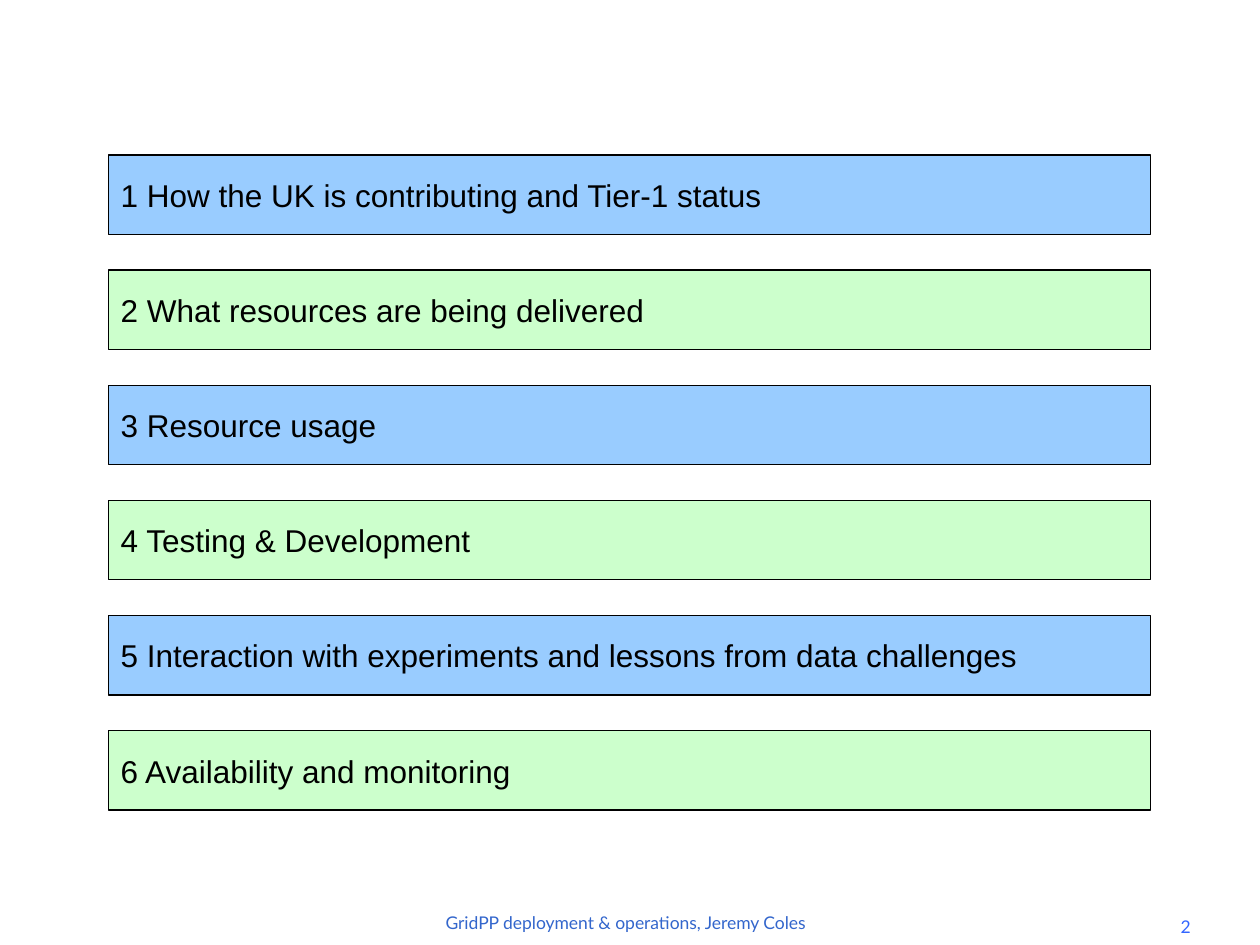
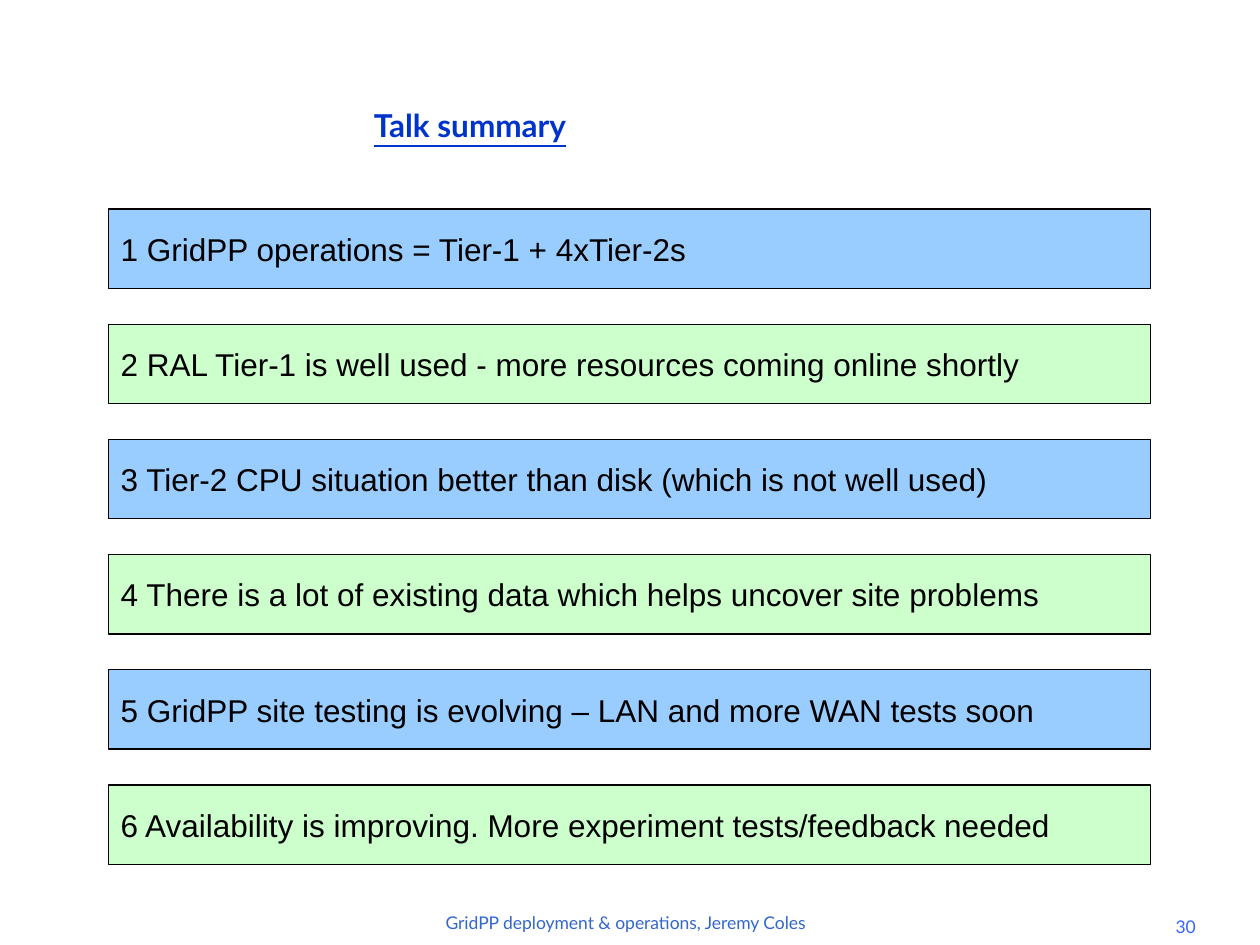
from pptx import Presentation
from pptx.dml.color import RGBColor
from pptx.enum import shapes, text
from pptx.util import Inches, Pt

WHITE = RGBColor(0xFF, 0xFF, 0xFF)
BLACK = RGBColor(0x00, 0x00, 0x00)
BAR_BLUE = RGBColor(0x99, 0xCC, 0xFF)
BAR_GREEN = RGBColor(0xCC, 0xFF, 0xCC)
TITLE_BLUE = RGBColor(0x00, 0x33, 0xCC)
FOOTER_BLUE = RGBColor(0x33, 0x66, 0xCC)
NUMBER_BLUE = RGBColor(0x33, 0x66, 0xFF)

FOOTER = "GridPP deployment & operations, Jeremy Coles"
OUTLINE = [
    "How the UK is contributing and Tier-1 status",
    "What resources are being delivered",
    "Resource usage",
    "Testing & Development",
    "Interaction with experiments and lessons from data challenges",
    "Availability and monitoring",
]
SUMMARY = [
    "GridPP operations = Tier-1 + 4xTier-2s",
    "RAL Tier-1 is well used - more resources coming online shortly",
    "Tier-2 CPU situation better than disk (which is not well used)",
    "There is a lot of existing data which helps uncover site problems",
    "GridPP site testing is evolving – LAN and more WAN tests soon",
    "Availability is improving. More experiment tests/feedback needed",
]


class Deck:
    """Holds the shared style and the current slide."""

    heading_font = "Lato"
    body_font = "Arial"
    bar_left, bar_width, bar_height = 0.86, 8.27, 0.63
    bar_pitch = 4.57 / 5

    def __init__(self):
        self.presentation = Presentation()
        self.presentation.slide_width = Inches(10)
        self.presentation.slide_height = Inches(7.5)

    def add_slide(self, number):
        self.slide = self.presentation.slides.add_slide(self.presentation.slide_layouts[6])
        background = self.slide.background.fill
        background.solid()
        background.fore_color.rgb = WHITE
        self.label(FOOTER, 3.35, 7.19, 3.23, 0.34, 10, FOOTER_BLUE)
        self.label(str(number), 8.97, 7.22, 0.88, 0.29, 10, NUMBER_BLUE)

    def set_text(self, shape, words, font_name, size, color, align, anchor):
        frame = shape.text_frame
        frame.word_wrap = True
        frame.vertical_anchor = anchor
        paragraph = frame.paragraphs[0]
        paragraph.text = words
        paragraph.alignment = align
        paragraph.font.name = font_name
        paragraph.font.size = Pt(size)
        paragraph.font.color.rgb = color
        return paragraph

    def label(self, words, left, top, width, height, size, color,
              anchor=text.MSO_ANCHOR.TOP):
        box = self.slide.shapes.add_textbox(
            Inches(left), Inches(top), Inches(width), Inches(height))
        return self.set_text(box, words, self.heading_font, size, color,
                             text.PP_ALIGN.CENTER, anchor)

    def title(self, words):
        paragraph = self.label(words, 0.77, 0.41, 5.92, 1.17, 18, TITLE_BLUE,
                               text.MSO_ANCHOR.MIDDLE)
        paragraph.font.bold = True
        paragraph.font.underline = True

    def bar(self, words, top, color):
        shape = self.slide.shapes.add_shape(
            shapes.MSO_SHAPE.RECTANGLE, Inches(self.bar_left), Inches(top),
            Inches(self.bar_width), Inches(self.bar_height))
        shape.shadow.inherit = False
        shape.fill.solid()
        shape.fill.fore_color.rgb = color
        shape.line.color.rgb = BLACK
        shape.line.width = Pt(0.75)
        self.set_text(shape, words, self.body_font, 18, BLACK,
                      text.PP_ALIGN.LEFT, text.MSO_ANCHOR.MIDDLE)

    def numbered_bars(self, points, first_top):
        for index, point in enumerate(points):
            color = BAR_GREEN if index % 2 else BAR_BLUE
            self.bar(f"{index + 1} {point}", first_top + index * self.bar_pitch, color)


def main():
    deck = Deck()

    # Outline of the talk
    deck.add_slide(2)
    deck.numbered_bars(OUTLINE, 1.23)

    # Summary of the talk
    deck.add_slide(30)
    deck.title("Talk summary")
    deck.numbered_bars(SUMMARY, 1.66)

    deck.presentation.save("out.pptx")


if __name__ == "__main__":
    main()
